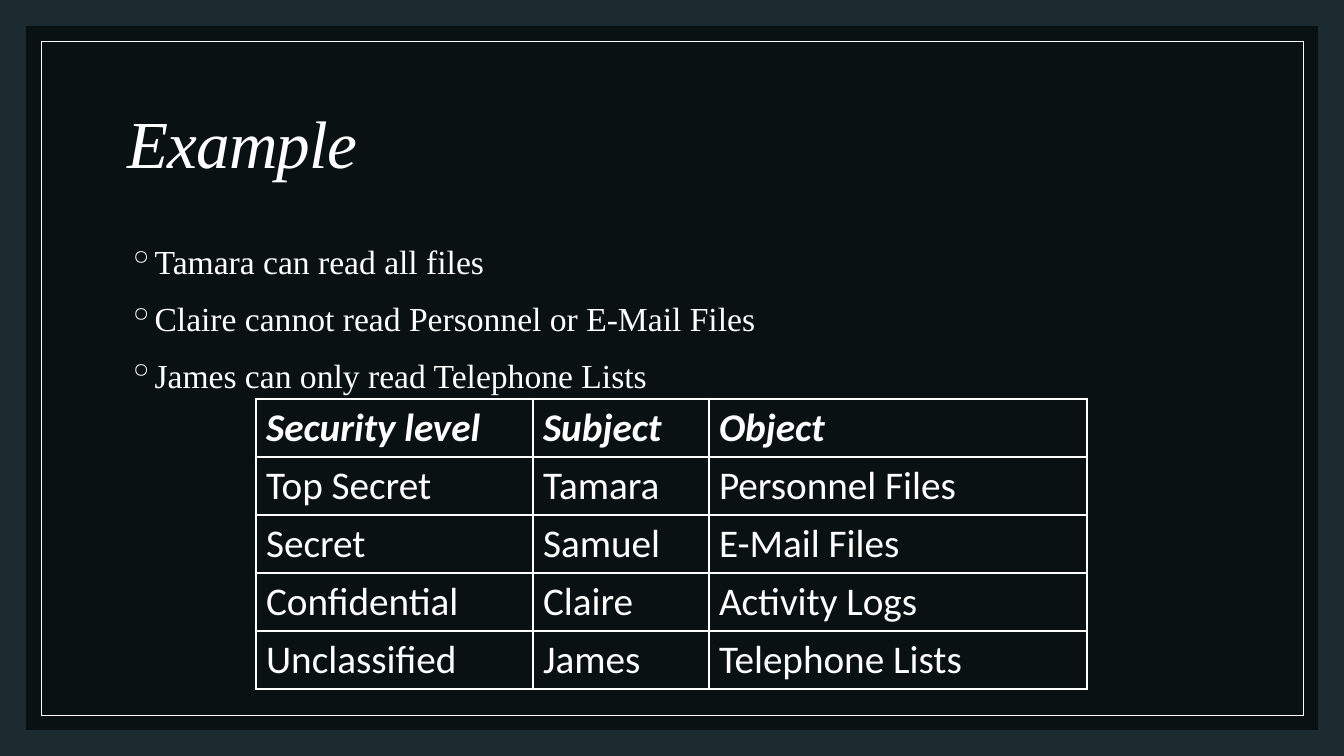
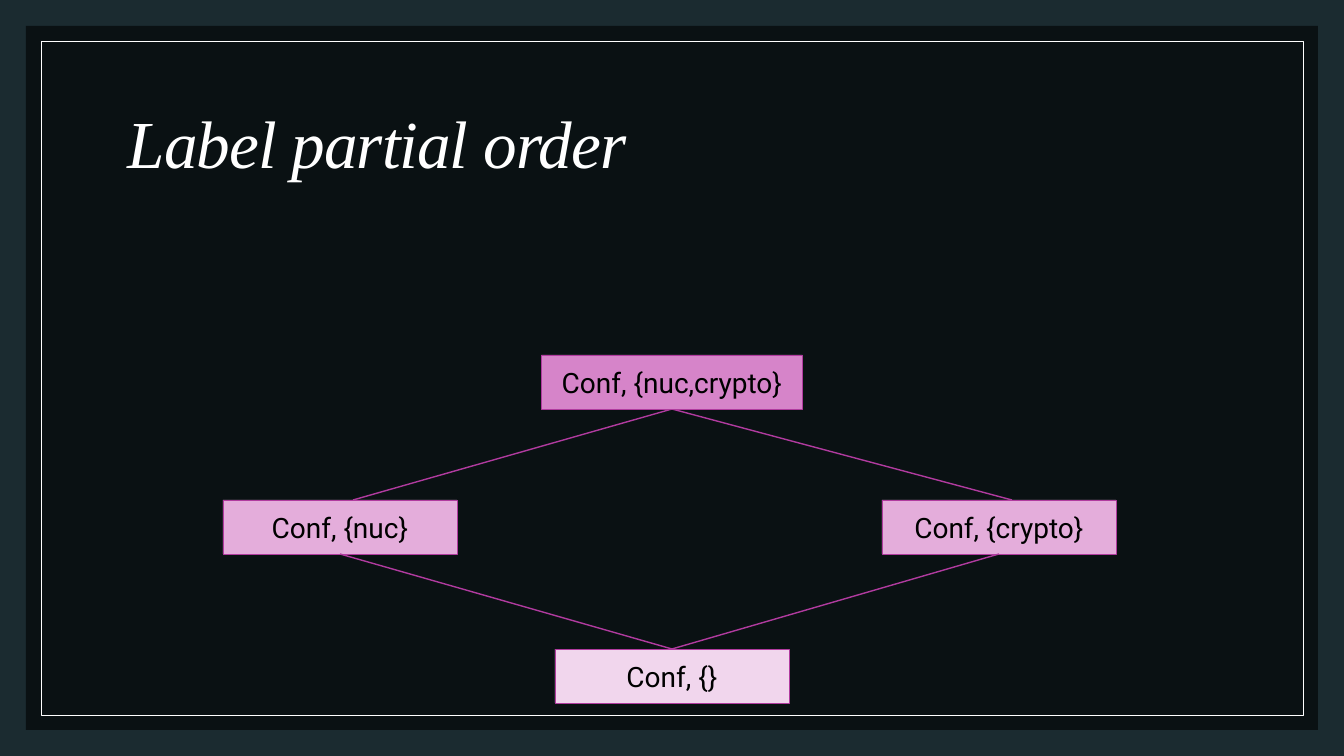
from lxml import etree
from pptx import Presentation
from pptx.dml.color import RGBColor
from pptx.enum.shapes import MSO_CONNECTOR, MSO_SHAPE
from pptx.enum.text import MSO_ANCHOR, PP_ALIGN
from pptx.oxml.ns import qn
from pptx.util import Emu, Pt

RECT = MSO_SHAPE.RECTANGLE
LINE = MSO_CONNECTOR.STRAIGHT
MIDDLE = MSO_ANCHOR.MIDDLE
CENTER = PP_ALIGN.CENTER

WIDE, HIGH = 1344, 756
SCALE = 12192000 / WIDE
SERIF, SANS, LABEL = "Times New Roman", "Calibri", "Roboto"
WHITE, BLACK, BACK = "FFFFFF", "000000", "1B2B30"
EDGE, DEEP, MID, PALE = "B13B9F", "D684C9", "E4ADDB", "F1D6ED"


def px(num):
    return Emu(round(num * SCALE))


def place(*nums):
    return [px(num) for num in nums]


def color(text):
    return RGBColor.from_string(text)


def add_run(para, text, face, size, tint, bold=False, italic=False):
    run = para.add_run()
    run.text = text
    font = run.font
    font.name, font.size = face, Pt(size)
    font.bold, font.italic = bold, italic
    font.color.rgb = color(tint)
    return run


def add_rect(slide, box, fill=None, line=None, width=0.5):
    rect = slide.shapes.add_shape(RECT, *place(*box))
    rect.shadow.inherit = False
    if fill:
        rect.fill.solid()
        rect.fill.fore_color.rgb = color(fill)
    else:
        rect.fill.background()
    if line:
        rect.line.color.rgb = color(line)
        rect.line.width = Pt(width)
    else:
        rect.line.fill.background()
    return rect


def add_text(slide, box):
    frame = slide.shapes.add_textbox(*place(*box)).text_frame
    frame.word_wrap = True
    return frame


def add_title(slide, box, text):
    frame = add_text(slide, box)
    frame.vertical_anchor = MIDDLE
    para = frame.paragraphs[0]
    para.line_spacing = 0.9
    run = add_run(para, text, SERIF, 48, WHITE, italic=True)
    run.font._element.set("spc", "-70")


def add_slide(deck, title):
    slide = deck.slides.add_slide(deck.slide_layouts[6])
    slide.background.fill.solid()
    slide.background.fill.fore_color.rgb = color(BACK)
    panel = add_rect(slide, (26, 26, WIDE - 52, HIGH - 52), BLACK)
    tint = panel.fill._xPr.find(".//" + qn("a:srgbClr"))
    etree.SubElement(tint, qn("a:alpha")).set("val", "60000")
    add_rect(slide, (41, 41, WIDE - 82, HIGH - 82), line=WHITE)
    add_title(slide, (118, 71, 1109, 151), title)
    return slide


def add_list(slide, box, lines):
    frame = add_text(slide, box)
    for i, text in enumerate(lines):
        para = frame.add_paragraph() if i else frame.paragraphs[0]
        props = para._p.get_or_add_pPr()
        props.set("marL", str(px(20)))
        props.set("indent", str(px(-20)))
        tint = etree.SubElement(props, qn("a:buClr"))
        etree.SubElement(tint, qn("a:srgbClr")).set("val", WHITE)
        etree.SubElement(props, qn("a:buChar")).set("char", "◦")
        para.line_spacing = 1.1
        para.space_before = Pt(9 if i else 0)
        add_run(para, text, SERIF, 24, WHITE)


def add_border(cell, sides):
    props = cell._tc.get_or_add_tcPr()
    for i, (side, width) in enumerate(sides.items()):
        line = etree.Element(qn("a:ln" + side), w=str(Pt(width)))
        fill = etree.SubElement(line, qn("a:solidFill"))
        etree.SubElement(fill, qn("a:srgbClr")).set("val", WHITE)
        props.insert(i, line)


def add_grid(slide, left, top, cols, high, rows):
    box = place(left, top, sum(cols), high * len(rows))
    table = slide.shapes.add_table(len(rows), len(cols), *box).table
    table.first_row = table.horz_banding = False
    for col, wide in zip(table.columns, cols):
        col.width = px(wide)
    thick, thin = 2.25, 1
    for r, texts in enumerate(rows):
        table.rows[r].height = px(high)
        for c, text in enumerate(texts):
            cell = table.cell(r, c)
            cell.fill.background()
            add_border(cell, {
                "L": thin if c else thick,
                "R": thick if c == len(cols) - 1 else thin,
                "T": thin if r else thick,
                "B": thick if r == len(rows) - 1 else thin,
            })
            para = cell.text_frame.paragraphs[0]
            add_run(para, text, SANS, 28, WHITE, r == 0, r == 0)


def add_node(slide, mid, top, wide, high, fill, text):
    node = add_rect(slide, (mid - wide / 2, top, wide, high), fill, EDGE)
    frame = node.text_frame
    frame.word_wrap = True
    frame.vertical_anchor = MIDDLE
    para = frame.paragraphs[0]
    para.alignment = CENTER
    add_run(para, text, LABEL, 20, BLACK)


def add_link(slide, start, end):
    link = slide.shapes.add_connector(LINE, *place(*start, *end))
    link.line.color.rgb = color(EDGE)
    link.line.width = Pt(1)
    etree.SubElement(link._element.spPr, qn("a:effectLst"))


def add_order(slide, box):
    left, top, wide, tall = box
    size, high, shift = 234, 54, 13
    mid = left + 449
    ends = left + size / 2, left + wide - size / 2
    row, base = top + 145, top + tall - high
    add_node(slide, mid, base, size, high, PALE, "Conf, {}")
    for end, text in zip(ends, ("Conf, {nuc}", "Conf, {crypto}")):
        add_node(slide, end, row, size, high, MID, text)
        add_link(slide, (mid, base), (end, row + high))
        add_link(slide, (end + shift, row), (mid, top + high))
    add_node(slide, mid, top, 261, high, DEEP, "Conf, {nuc,crypto}")


def main():
    deck = Presentation()
    deck.slide_width, deck.slide_height = place(WIDE, HIGH)

    slide = add_slide(deck, "Example")
    add_list(slide, (118, 232, 1109, 424), [
        "Tamara can read all files",
        "Claire cannot read Personnel or E-Mail Files",
        "James can only read Telephone Lists",
    ])
    add_grid(slide, 256, 399, (277, 176, 378), 58, [
        ("Security level", "Subject", "Object"),
        ("Top Secret", "Tamara", "Personnel Files"),
        ("Secret", "Samuel", "E-Mail Files"),
        ("Confidential", "Claire", "Activity Logs"),
        ("Unclassified", "James", "Telephone Lists"),
    ])

    slide = add_slide(deck, "Label partial order")
    add_order(slide, (223, 355, 893, 348))
    deck.save("out.pptx")


if __name__ == "__main__":
    main()
